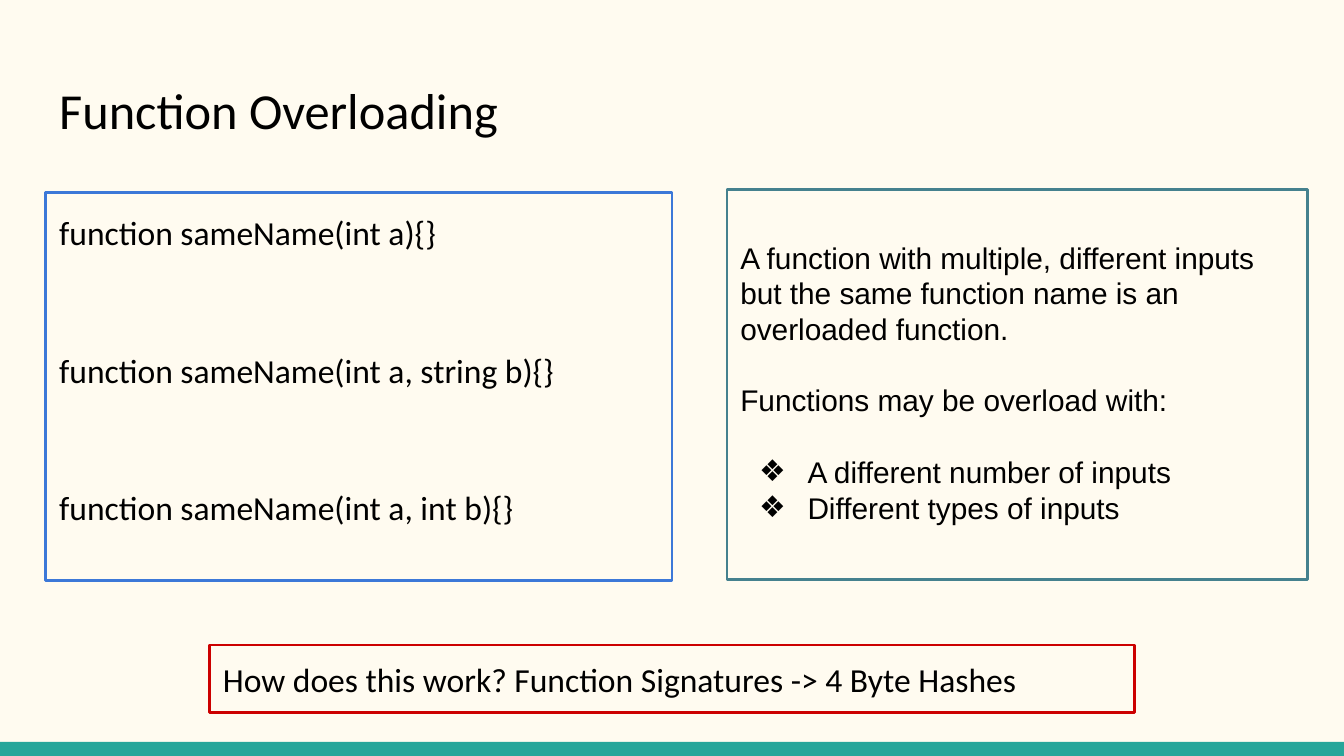
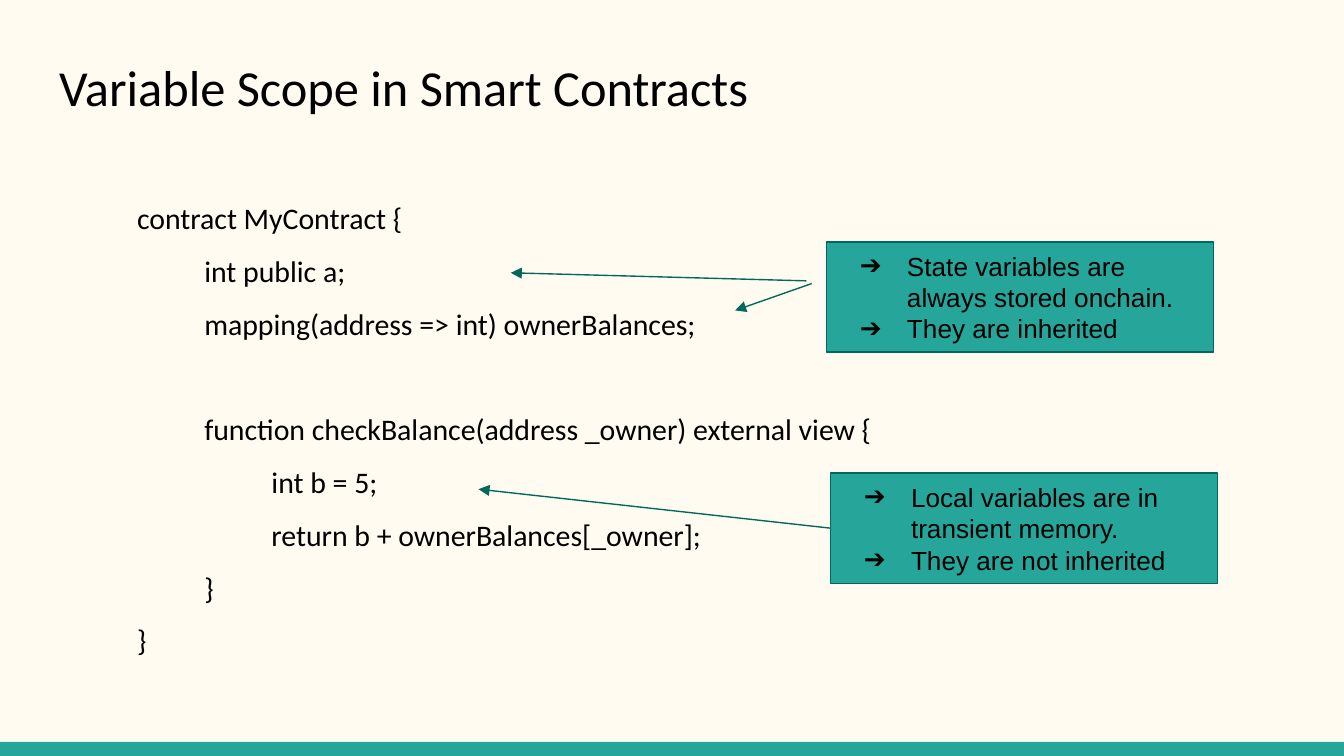
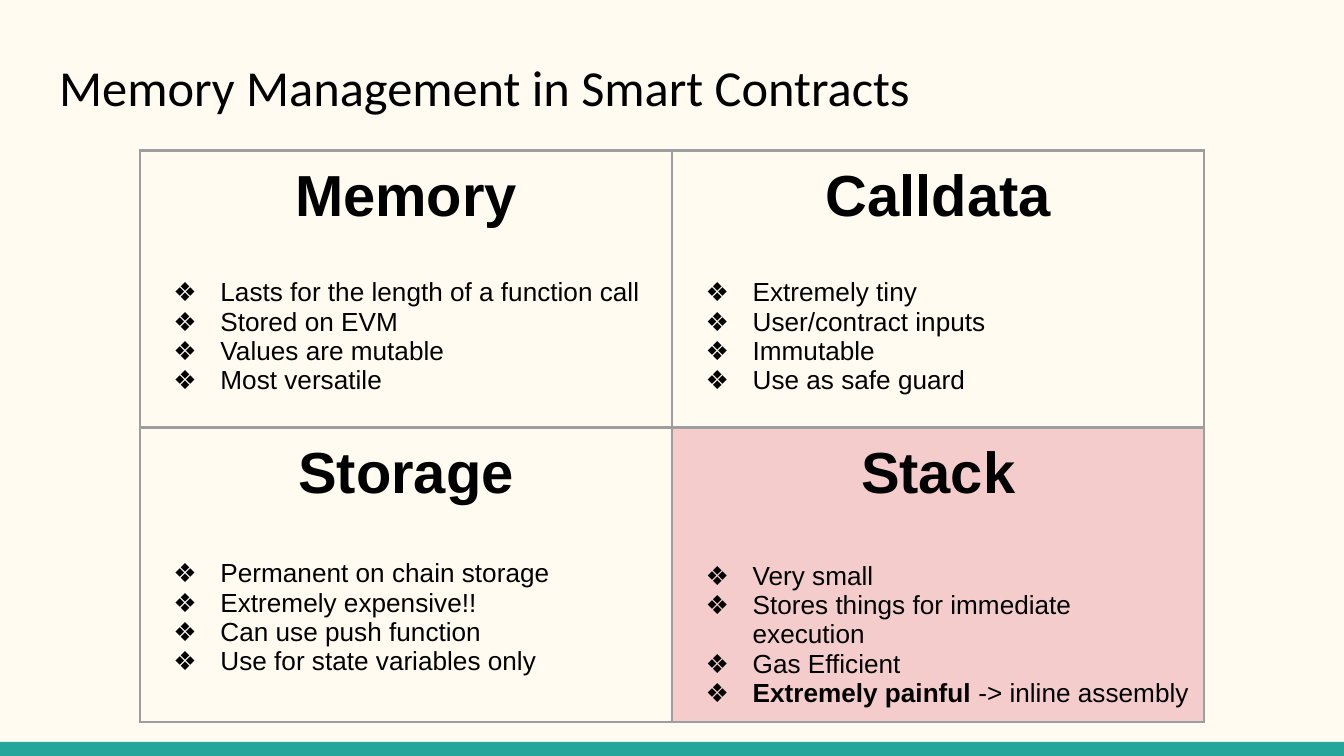
"""Build three slides on functions, scope and memory in smart contracts."""
from dataclasses import dataclass
from typing import Any, Optional

import lxml.etree
import pptx
import pptx.dml.color
import pptx.enum.shapes
import pptx.enum.text
import pptx.oxml.ns
import pptx.util

Inches = pptx.util.Inches
Pt = pptx.util.Pt
ALIGN = pptx.enum.text.PP_ALIGN
ANCHOR = pptx.enum.text.MSO_ANCHOR
RECTANGLE = pptx.enum.shapes.MSO_SHAPE.RECTANGLE

CREAM, TEAL, DARK_TEAL, BLACK = "FFFBF0", "26A69A", "00695C", "000000"
BLUE, SLATE, RED = "3C78D8", "45818E", "CC0000"
GREY, PINK = "9E9E9E", "F4CCCC"
DIAMOND, ARROW = "❖", "➔"
MARGIN = Inches(0.1)


@dataclass(frozen=True)
class Box:
    left: float
    top: float
    width: float
    height: float

    def lengths(self) -> tuple:
        return tuple(Inches(value) for value in (self.left, self.top, self.width, self.height))


@dataclass(frozen=True)
class Line:
    text: str
    size: float = 16
    font: str = "Arial"
    before: float = 0
    spacing: float = 1.0
    level: int = 0
    bullet: str = ""
    hanging: float = 0.35
    bold: bool = False
    bold_lead: str = ""
    align: Any = ALIGN.LEFT


@dataclass(frozen=True)
class Note:
    box: Box
    lines: list
    outline: str
    outline_width: float = 1.5
    fill: Optional[str] = None
    anchor: Any = ANCHOR.TOP
    top_margin: float = 0.1


@dataclass(frozen=True)
class Arrow:
    start: tuple
    end: tuple


@dataclass(frozen=True)
class Quadrant:
    heading: str
    gap: float
    points: list
    fill: Optional[str] = None


def color(value: str) -> pptx.dml.color.RGBColor:
    return pptx.dml.color.RGBColor.from_string(value)


def add_element(parent: Any, tag: str, **attributes: str) -> Any:
    element = lxml.etree.SubElement(parent, pptx.oxml.ns.qn(tag))
    for name, value in attributes.items():
        element.set(name, value)
    return element


def set_fill(fill: Any, value: Optional[str]) -> None:
    if value is None:
        fill.background()
    else:
        fill.solid()
        fill.fore_color.rgb = color(value)


def set_bullet(paragraph: Any, line: Line) -> None:
    properties = paragraph._p.get_or_add_pPr()
    indent = Inches(0.5) * (1 if line.bullet else line.level)
    properties.set("marL", str(indent))
    properties.set("indent", str(-Inches(line.hanging) if line.bullet else 0))
    if line.bullet:
        bullet_color = add_element(properties, "a:buClr")
        add_element(bullet_color, "a:srgbClr", val=BLACK)
        add_element(properties, "a:buFont", typeface=line.font)
        add_element(properties, "a:buChar", char=line.bullet)
    else:
        add_element(properties, "a:buNone")


def write_lines(text_frame: Any, lines: list) -> None:
    text_frame.text = "\n".join(line.bold_lead or line.text for line in lines)
    for paragraph, line in zip(text_frame.paragraphs, lines):
        set_bullet(paragraph, line)
        paragraph.alignment = line.align
        paragraph.line_spacing = line.spacing
        paragraph.space_before = Pt(line.before)
        paragraph.space_after = Pt(0)
        if line.bold_lead:
            paragraph.add_run().text = line.text
        for index, run in enumerate(paragraph.runs):
            run.font.name = line.font
            run.font.size = Pt(line.size)
            run.font.bold = line.bold or (bool(line.bold_lead) and index == 0)
            run.font.color.rgb = color(BLACK)


def set_frame(text_frame: Any, anchor: Any = ANCHOR.TOP, top_margin: float = 0.1) -> None:
    text_frame.word_wrap = True
    text_frame.auto_size = pptx.enum.text.MSO_AUTO_SIZE.NONE
    text_frame.vertical_anchor = anchor
    text_frame.margin_left = text_frame.margin_right = text_frame.margin_bottom = MARGIN
    text_frame.margin_top = Inches(top_margin)


def fill_placeholder(placeholder: Any, box: Box, lines: list) -> None:
    placeholder.left, placeholder.top, placeholder.width, placeholder.height = box.lengths()
    set_frame(placeholder.text_frame)
    write_lines(placeholder.text_frame, lines)


def add_slide(presentation: Any, layout: int, title: str, title_box: Box) -> Any:
    slide = presentation.slides.add_slide(presentation.slide_layouts[layout])
    fill_placeholder(slide.shapes.title, title_box, [Line(title, 27, "Calibri")])
    return slide


def add_rectangle(slide: Any, box: Box, fill: Optional[str]) -> Any:
    shape = slide.shapes.add_shape(RECTANGLE, *box.lengths())
    shape.shadow.inherit = False
    set_fill(shape.fill, fill)
    return shape


def add_note(slide: Any, note: Note) -> None:
    shape = add_rectangle(slide, note.box, note.fill)
    shape.line.color.rgb = color(note.outline)
    shape.line.width = Pt(note.outline_width)
    set_frame(shape.text_frame, note.anchor, note.top_margin)
    write_lines(shape.text_frame, note.lines)


def add_arrow(slide: Any, arrow: Arrow) -> None:
    points = [Inches(value) for value in arrow.start + arrow.end]
    connector = slide.shapes.add_connector(pptx.enum.shapes.MSO_CONNECTOR.STRAIGHT, *points)
    connector.line.color.rgb = color(DARK_TEAL)
    connector.line.width = Pt(0.75)
    add_element(connector.line._get_or_add_ln(), "a:tailEnd", type="triangle")
    add_element(connector._element.spPr, "a:effectLst")


def style_master(presentation: Any, slide: Any) -> None:
    """Give the master its background and move the footer band onto it."""
    master = presentation.slide_master
    set_fill(master.background.fill, CREAM)
    band = add_rectangle(slide, Box(0, 5.52, 10, 0.11), TEAL)
    band.line.fill.background()
    band.element.xpath(".//p:cNvPr")[0].set("id", "20")
    master.shapes.element.insert(2, band.element)


def fill_cell(cell: Any, quadrant: Quadrant) -> None:
    cell.margin_left = cell.margin_right = cell.margin_top = cell.margin_bottom = MARGIN
    heading = Line(quadrant.heading, 31, bold=True, align=ALIGN.CENTER)
    write_lines(cell.text_frame, [heading] + quadrant.points)
    cell.text_frame.paragraphs[1].space_before = Pt(quadrant.gap)
    properties = cell._tc.get_or_add_tcPr()
    for side in ("a:lnL", "a:lnR", "a:lnT", "a:lnB"):
        border = add_element(properties, side, w=str(Pt(1.5)))
        add_element(add_element(border, "a:solidFill"), "a:srgbClr", val=GREY)
    set_fill(cell.fill, quadrant.fill)


def bullets(mark: str, texts: list) -> list:
    return [Line(text, 14, bullet=mark) for text in texts]


def build_overloading(presentation: Any) -> Any:
    slide = add_slide(presentation, 1, "Function Overloading", Box(0.34, 0.49, 9.32, 0.67))
    signatures = ["int a", "int a, string b", "int a, int b"]
    code = [
        Line(f"function sameName({inputs}){{}}", 18, "Calibri", 49 if index else 0, 1.15)
        for index, inputs in enumerate(signatures)
    ]
    body = slide.placeholders[1]
    fill_placeholder(body, Box(0.34, 1.43, 4.66, 2.89), code)
    body.line.color.rgb = color(BLUE)
    body.line.width = Pt(1.5)
    explanation = [
        Line("A function with multiple, different inputs but the same function name "
             "is an overloaded function."),
        Line("Functions may be overload with:", before=19),
        Line("A different number of inputs", before=19, bullet=DIAMOND, hanging=0.36),
        Line("Different types of inputs", bullet=DIAMOND, hanging=0.36),
    ]
    question = [Line("How does this work? Function Signatures -> 4 Byte Hashes", 18, "Calibri")]
    add_note(slide, Note(Box(5.41, 1.41, 4.32, 2.9), explanation, SLATE, top_margin=0.37))
    add_note(slide, Note(Box(1.56, 4.8, 6.88, 0.5), question, RED))
    return slide


def build_scope(presentation: Any, title_box: Box) -> None:
    slide = add_slide(presentation, 1, "Variable Scope in Smart Contracts", title_box)
    code = [
        (0, "contract MyContract {", 0),
        (1, "int public a;", 12),
        (1, "mapping(address => int) ownerBalances;", 12),
        (1, "function checkBalance(address _owner) external view {", 40),
        (2, "int b = 5;", 12),
        (2, "return b + ownerBalances[_owner];", 12),
        (1, "}", 12),
        (0, "}", 12),
    ]
    lines = [Line(text, 16, "Calibri", before, 0.85, level) for level, text, before in code]
    fill_placeholder(slide.placeholders[1], Box(0.92, 1.43, 6.23, 3.74), lines)
    callouts = [
        (6.15, 1.8, ["State variables are always stored onchain.", "They are inherited"]),
        (6.18, 3.52, ["Local variables are in transient memory.", "They are not inherited"]),
    ]
    for left, top, texts in callouts:
        box = Box(left, top, 2.88, 0.82)
        add_note(slide, Note(box, bullets(ARROW, texts), DARK_TEAL, 0.75, TEAL, ANCHOR.MIDDLE))
    for arrow in (
        Arrow((6, 2.09), (3.8, 2.03)),
        Arrow((6.04, 2.11), (5.47, 2.31)),
        Arrow((6.18, 3.93), (3.56, 3.64)),
    ):
        add_arrow(slide, arrow)


def build_memory(presentation: Any, title_box: Box) -> None:
    slide = add_slide(presentation, 5, "Memory Management in Smart Contracts", title_box)
    painful = Line(" -> inline assembly", 14, bullet=DIAMOND, bold_lead="Extremely painful")
    quadrants = [
        Quadrant("Memory", 26.4, bullets(DIAMOND, [
            "Lasts for the length of a function call", "Stored on EVM",
            "Values are mutable", "Most versatile"])),
        Quadrant("Calldata", 26.4, bullets(DIAMOND, [
            "Extremely tiny", "User/contract inputs", "Immutable", "Use as safe guard"])),
        Quadrant("Storage", 28.7, bullets(DIAMOND, [
            "Permanent on chain storage", "Extremely expensive!!",
            "Can use push function", "Use for state variables only"])),
        Quadrant("Stack", 29.9, bullets(DIAMOND, [
            "Very small", "Stores things for immediate execution",
            "Gas Efficient"]) + [painful], PINK),
    ]
    box = Box(1.04, 1.12, 7.92, 4.12)
    table = slide.shapes.add_table(2, 2, *box.lengths()).table
    table.first_row = table.horz_banding = False
    for index, quadrant in enumerate(quadrants):
        fill_cell(table.cell(*divmod(index, 2)), quadrant)


def main() -> None:
    presentation = pptx.Presentation()
    presentation.slide_width = Inches(10)
    presentation.slide_height = Inches(10) * 9 // 16
    title_box = Box(0.34, 0.32, 9.32, 0.63)
    first_slide = build_overloading(presentation)
    style_master(presentation, first_slide)
    build_scope(presentation, title_box)
    build_memory(presentation, title_box)
    presentation.save("out.pptx")


if __name__ == "__main__":
    main()
